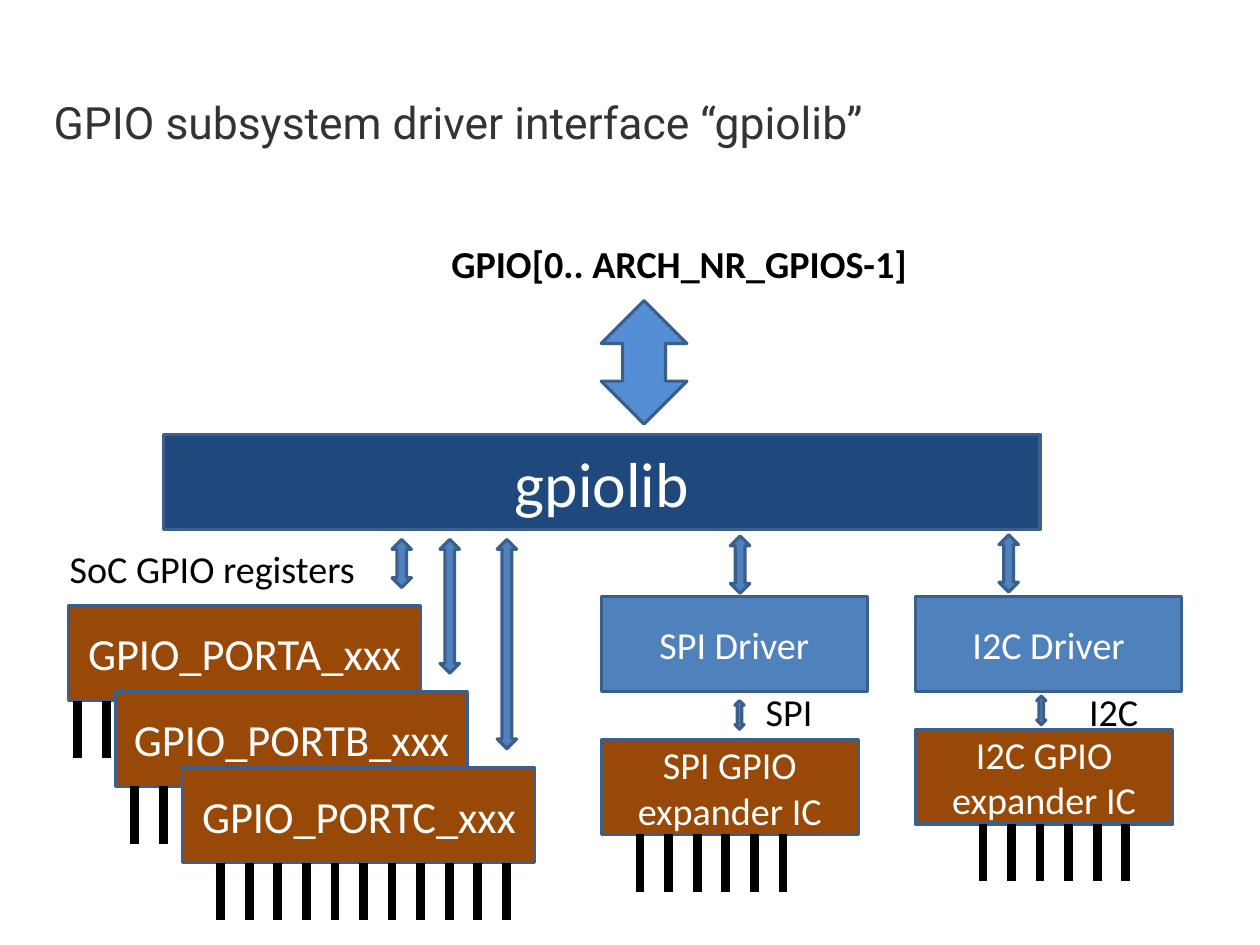
from pptx import Presentation
from pptx.dml.color import RGBColor
from pptx.enum.shapes import MSO_CONNECTOR, MSO_SHAPE
from pptx.enum.text import MSO_ANCHOR, MSO_AUTO_SIZE, PP_ALIGN
from pptx.oxml.ns import qn
from pptx.util import Inches, Pt
from lxml.etree import SubElement

CENTIMETERS_PER_INCH = 2.54
NAVY = "1F497D"
BLUE = "4F81BD"
LIGHT_BLUE = "558ED5"
BROWN = "984807"
OUTLINE = "3A5F8C"
BLACK = "000000"
WHITE = "FFFFFF"
CHARCOAL = "333333"


def color(value):
    return RGBColor.from_string(value)


class DiagramSlide:
    font = "Calibri"
    box_height = 0.83
    pin_length = 0.5
    pin_gap = 0.25

    def __init__(self, presentation):
        self.slide = presentation.slides.add_slide(presentation.slide_layouts[6])

    def add_run(self, paragraph, text, size, text_color, font=None, bold=False):
        run = paragraph.add_run()
        run.text = text
        run.font.name = font or self.font
        run.font.size = Pt(size)
        run.font.bold = bold
        run.font.color.rgb = color(text_color)

    def title(self, text):
        shape = self.slide.shapes.add_textbox(
            Inches(0.47), Inches(0.71), Inches(9.21), Inches(0.71))
        frame = shape.text_frame
        frame.word_wrap = True
        frame.vertical_anchor = MSO_ANCHOR.MIDDLE
        frame.margin_left = frame.margin_right = 0
        frame.margin_top = frame.margin_bottom = 0
        self.add_run(frame.paragraphs[0], text, 28, CHARCOAL, font="Roboto")

    def label(self, text, left, top, width, bold=False):
        shape = self.slide.shapes.add_textbox(
            Inches(left), Inches(top), Inches(width), Inches(0.5))
        frame = shape.text_frame
        frame.word_wrap = False
        frame.auto_size = MSO_AUTO_SIZE.SHAPE_TO_FIT_TEXT
        self.add_run(frame.paragraphs[0], text, 24, BLACK, bold=bold)

    def preset(self, kind, left, top, width, height, fill):
        shape = self.slide.shapes.add_shape(
            kind, Inches(left), Inches(top), Inches(width), Inches(height))
        shape.shadow.inherit = False
        shape.fill.solid()
        shape.fill.fore_color.rgb = color(fill)
        shape.line.color.rgb = color(OUTLINE)
        shape.line.width = Pt(2)
        return shape

    def box(self, text, left, top, width, fill, size=24):
        shape = self.preset(
            MSO_SHAPE.RECTANGLE, left, top, width, self.box_height, fill)
        frame = shape.text_frame
        frame.word_wrap = True
        frame.vertical_anchor = MSO_ANCHOR.MIDDLE
        paragraph = frame.paragraphs[0]
        paragraph.alignment = PP_ALIGN.CENTER
        self.add_run(paragraph, text, size, WHITE)

    def arrow(self, left, top, width, height, fill=BLUE):
        self.preset(MSO_SHAPE.UP_DOWN_ARROW, left, top, width, height, fill)

    def pins(self, left, top, count):
        for index in range(count):
            x = Inches(left + index * self.pin_gap)
            pin = self.slide.shapes.add_connector(
                MSO_CONNECTOR.STRAIGHT, x, Inches(top + self.pin_length), x, Inches(top))
            pin.line.color.rgb = color(BLACK)
            pin.line.width = Pt(5.5)
            SubElement(pin.element.spPr, qn("a:effectLst"))


def main():
    presentation = Presentation()
    presentation.slide_width = Inches(28 / CENTIMETERS_PER_INCH)
    presentation.slide_height = Inches(21 / CENTIMETERS_PER_INCH)
    diagram = DiagramSlide(presentation)

    diagram.title("GPIO subsystem driver interface “gpiolib”")
    diagram.label("GPIO[0.. ARCH_NR_GPIOS-1]", 3.85, 2.05, 4.22, bold=True)
    diagram.arrow(5.26, 2.63, 0.75, 1.08, LIGHT_BLUE)
    diagram.box("gpiolib", 1.43, 3.8, 7.67, NAVY, size=40)

    diagram.label("SoC GPIO registers", 0.51, 4.72, 2.72)
    ports = [
        ("A", 0.6, 5.3, 0.68, 2, 3.43, 0.42),
        ("B", 1.01, 6.05, 1.18, 2, 3.85, 1.17),
        ("C", 1.6, 6.72, 1.93, 11, 4.35, 1.83),
    ]
    for letter, left, top, pin_left, pin_count, arrow_left, arrow_height in ports:
        diagram.box(f"GPIO_PORT{letter}_xxx", left, top, 3.08, BROWN, size=28)
        diagram.pins(pin_left, top + diagram.box_height, pin_count)
        diagram.arrow(arrow_left, 4.72, 0.17, arrow_height)

    buses = [
        ("SPI", 5.26, 6.47, 5.6, (6.39, 4.69), (6.43, 6.13), 6.6, 0.61),
        ("I2C", 8.01, 6.38, 8.6, (8.74, 4.68), (9.07, 6.09), 9.43, 0.63),
    ]
    for bus, left, expander_top, pin_left, driver_arrow, bus_arrow, label_left, label_width in buses:
        diagram.box(f"{bus} Driver", left, 5.22, 2.33, BLUE)
        diagram.box(f"{bus} GPIO expander IC", left, expander_top, 2.25, BROWN)
        diagram.pins(pin_left, expander_top + diagram.box_height, 6)
        diagram.arrow(*driver_arrow, 0.17, 0.5)
        diagram.arrow(*bus_arrow, 0.08, 0.25)
        diagram.label(bus, label_left, 5.97, label_width)

    presentation.save("out.pptx")


if __name__ == "__main__":
    main()
